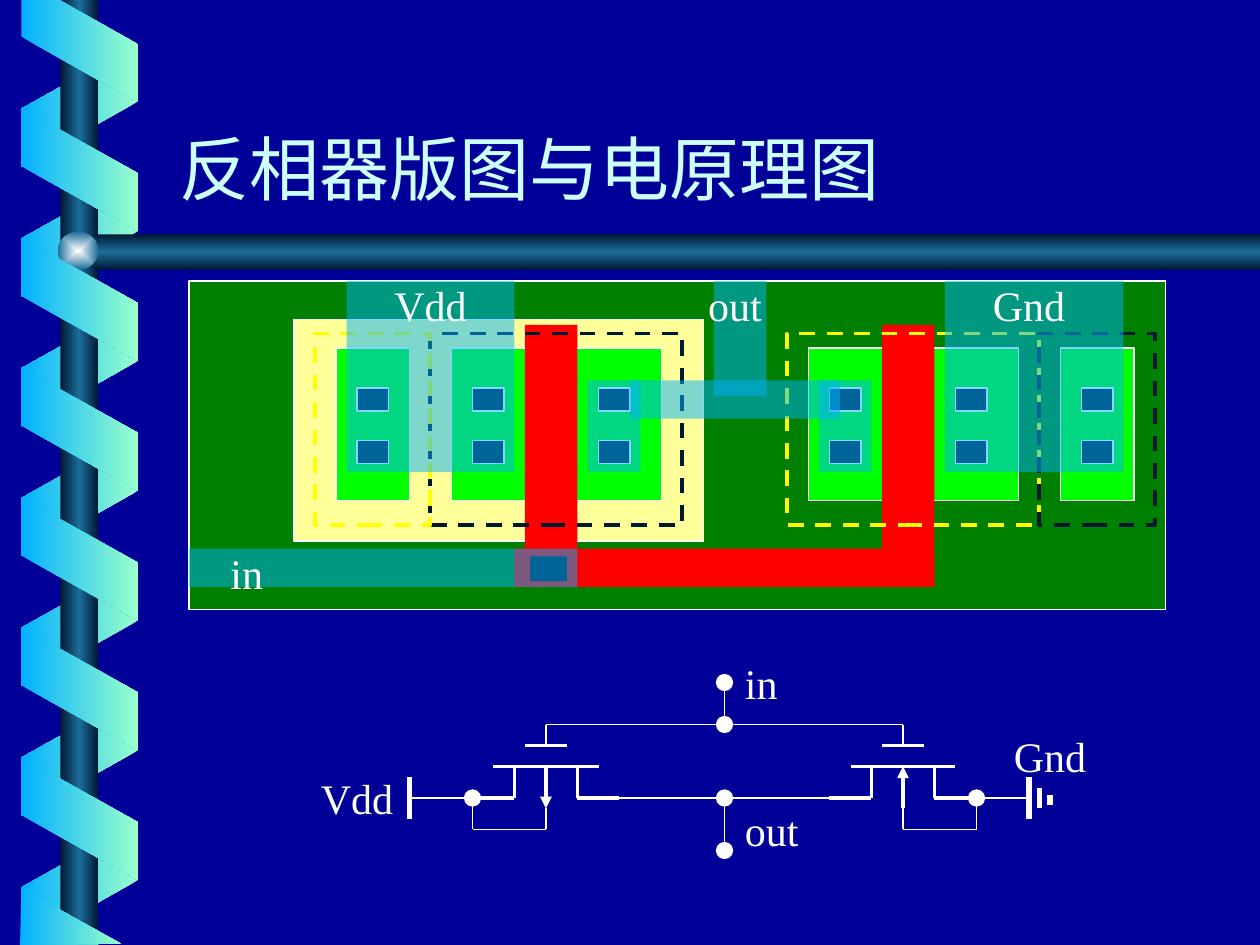
from dataclasses import dataclass

from lxml.etree import SubElement
from pptx import Presentation
from pptx.dml.color import RGBColor
from pptx.enum.dml import MSO_LINE_DASH_STYLE as DASH
from pptx.enum.shapes import MSO_CONNECTOR as CONNECTOR, MSO_SHAPE as SHAPE
from pptx.enum.text import MSO_ANCHOR as ANCHOR, PP_ALIGN as ALIGN
from pptx.oxml.ns import qn
from pptx.util import Inches, Pt

NAVY = RGBColor(0x00, 0x00, 0x99)
WHITE = RGBColor(0xFF, 0xFF, 0xFF)
PALE_CYAN = RGBColor(0xCC, 0xFF, 0xFF)
SKY = RGBColor(0x01, 0xB0, 0xFF)
MINT = RGBColor(0x99, 0xFF, 0xCC)
INK = RGBColor(0x00, 0x19, 0x32)
STEEL = RGBColor(0x1C, 0x6D, 0x9A)
SUBSTRATE = RGBColor(0x00, 0x80, 0x00)
WELL = RGBColor(0xFF, 0xFF, 0x99)
ACTIVE = RGBColor(0x00, 0xFF, 0x00)
POLY = RGBColor(0xFF, 0x00, 0x00)
YELLOW = RGBColor(0xFF, 0xFF, 0x00)


@dataclass
class Grid:
    """A box on the slide, measured in columns and rows (inches each)."""
    left: float
    top: float
    column: float
    row: float

    def point(self, column, row):
        return (Inches(self.left + column * self.column),
                Inches(self.top + row * self.row))

    def box(self, column, row, columns, rows):
        return (*self.point(column, row),
                Inches(columns * self.column), Inches(rows * self.row))


PAGE = Grid(0, 0, 1, 1)


def fill_gradient(shape, colors, angle=0, radial=False):
    """Spread the colours evenly, keeping the direction fixed to the slide."""
    shape.fill.gradient()
    gradient = shape.element.spPr.find(qn("a:gradFill"))
    gradient.set("rotWithShape", "0")
    for child in list(gradient):
        gradient.remove(child)
    stops = SubElement(gradient, qn("a:gsLst"))
    for index, color in enumerate(colors):
        position = 100000 * index // (len(colors) - 1)
        stop = SubElement(stops, qn("a:gs"), pos=str(position))
        SubElement(stop, qn("a:srgbClr"), val=str(color))
    if radial:
        way = SubElement(gradient, qn("a:path"), path="rect")
        SubElement(way, qn("a:fillToRect"),
                   {side: "50000" for side in "ltrb"})
    else:
        SubElement(gradient, qn("a:lin"), ang=str(angle * 60000), scaled="0")
    shape.line.fill.background()
    shape.shadow.inherit = False


def add_rectangle(slide, box, fill=None, line=None, width=0.75, dash=None, alpha=None):
    shape = slide.shapes.add_shape(SHAPE.RECTANGLE, *box)
    shape.shadow.inherit = False
    if fill is None:
        shape.fill.background()
    else:
        shape.fill.solid()
        shape.fill.fore_color.rgb = fill
    if alpha:
        color = shape.element.spPr.find(qn("a:solidFill"))[0]
        SubElement(color, qn("a:alpha"), val=str(alpha * 1000))
    if line is None:
        shape.line.fill.background()
    else:
        shape.line.color.rgb = line
        shape.line.width = Pt(width)
        if dash:
            shape.line.dash_style = dash


def add_polygon(slide, points):
    corners = [PAGE.point(*point) for point in points]
    builder = slide.shapes.build_freeform(*corners[0])
    builder.add_line_segments(corners[1:], close=True)
    return builder.convert_to_shape()


def add_text(slide, box, text, size=24, font="Times New Roman", color=WHITE,
             align=ALIGN.CENTER, anchor=ANCHOR.TOP):
    frame = slide.shapes.add_textbox(*box).text_frame
    frame.word_wrap = True
    frame.vertical_anchor = anchor
    paragraph = frame.paragraphs[0]
    paragraph.alignment = align
    run = paragraph.add_run()
    run.text = text
    run.font.size = Pt(size)
    run.font.name = font
    run.font.color.rgb = color


def add_line(slide, grid, start, end, width=0.75, head=None, tail=None):
    line = slide.shapes.add_connector(
        CONNECTOR.STRAIGHT, *grid.point(*start), *grid.point(*end))
    line.line.color.rgb = WHITE
    line.line.width = Pt(width)
    properties = line.element.spPr
    for tag, kind in (("a:headEnd", head), ("a:tailEnd", tail)):
        if kind:
            size = "lg" if kind == "oval" else "med"
            SubElement(properties.find(qn("a:ln")), qn(tag),
                       type=kind, w=size, len=size)
    SubElement(properties, qn("a:effectLst"))


def add_ribbons(slide, top, pitch, count, rotation, colors, flipped=False):
    for index in range(count):
        shape = slide.shapes.add_shape(
            SHAPE.PARALLELOGRAM, *PAGE.box(0.14, top + index * pitch, 0.98, 0.93))
        shape.adjustments[0] = 0.56
        shape.rotation = rotation
        if flipped:
            shape.element.spPr.find(qn("a:xfrm")).set("flipH", "1")
        fill_gradient(shape, colors)


def add_helix(slide):
    """Ribbon wound round a pole, with a cross bar and its knob."""
    metal = (INK, STEEL, INK)
    add_ribbons(slide, 0.37, 1.03, 7, 90, (MINT, SKY), flipped=True)
    pole = slide.shapes.add_shape(SHAPE.RECTANGLE, *PAGE.box(0.48, 0, 0.3, 7.5))
    fill_gradient(pole, metal)
    bar = add_polygon(slide, [(10, 1.86), (0.76, 1.86), (0.6, 2), (0.76, 2.14), (10, 2.14)])
    fill_gradient(bar, metal, angle=90)
    knob = slide.shapes.add_shape(SHAPE.OVAL, *PAGE.box(0.46, 1.84, 0.32, 0.3))
    fill_gradient(knob, (WHITE, STEEL), radial=True)
    add_ribbons(slide, 0.88, 1.03, 6, 270, (SKY, MINT))
    # Ribbon ends cut by the slide's edges
    for points in ([(0.17, 0), (0.17, 0.29), (1.09, 0.81), (1.09, 0.35), (0.47, 0)],
                   [(0.96, 7.49), (0.17, 7.05), (0.16, 7.5)]):
        fill_gradient(add_polygon(slide, points), (SKY, MINT))


def add_layout(slide, grid):
    """Inverter layout, drawn layer by layer from the substrate up."""
    def layer(fill, *boxes, line=None, alpha=None):
        for box in boxes:
            add_rectangle(slide, grid.box(*box), fill, line, alpha=alpha)

    layer(SUBSTRATE, (0, 0, 93, 34.4), line=WHITE)
    layer(WELL, (10, 4, 39, 23.2), line=WHITE)
    layer(ACTIVE, *[(column, 7, columns, 16) for column, columns in
                    ((14, 7), (25, 20), (59, 20), (83, 7))], line=WHITE)
    layer(POLY, (32, 4.6, 5, 27.3), (66, 4.6, 5, 27.3), (36, 28, 35, 4), (31, 28, 6, 4))
    # Implant regions
    for column, columns, color in ((23, 24, INK), (57, 24, YELLOW),
                                   (12, 11, YELLOW), (81, 11, INK)):
        add_rectangle(slide, grid.box(column, 5.5, columns, 20),
                      line=color, width=2.25, dash=DASH.DASH)
    # Contacts
    layer(INK, (32.5, 28.8, 3.5, 2.6))
    layer(INK, *[(column, row, 3, 2.4) for column in (16, 27, 39, 61, 73, 85)
                 for row in (11.2, 16.7)], line=WHITE)
    # Metal
    layer(SKY, (0, 28, 37, 4), (15, 0, 16, 20), (60, 10.4, 5, 9.6), (42, 10.4, 20, 4),
          (72, 0, 17, 20), (50, 0, 5, 12), (38, 10.4, 5, 9.6), alpha=50)
    for text, column, row, columns in (("Vdd", 16.5, -0.8, 13), ("Gnd", 73.5, -0.8, 13),
                                       ("out", 45.5, -0.8, 13), ("in", 1.5, 27.2, 8)):
        add_text(slide, grid.box(column, row, columns, 6.6), text)


def add_transistor(slide, grid, center, side, rail, arrow):
    """MOS transistor whose source and body are tied to the rail on one side."""
    def stroke(start, end, width=0.75, **ends):
        add_line(slide, grid, (center + start[0], start[1]),
                 (center + end[0], end[1]), width, **ends)

    stroke((-2, 9), (2, 9), 2.25)
    stroke((-5, 11), (5, 11), 2.25)
    for sign in (-1, 1):
        stroke((3 * sign, 11), (3 * sign, 14), 2.25)
        stroke((3 * sign, 14), (7 * sign, 14), 2.25)
    stroke((0, 11), (0, 15), 2.25, **arrow)
    # Body tie, gate lead and supply lead
    stroke((0, 15), (0, 17))
    stroke((0, 17), (7 * side, 17))
    stroke((7 * side, 17), (7 * side, 14))
    stroke((0, 9), (0, 7))
    stroke((7 * side, 14), (rail - center, 14), head="oval")
    add_line(slide, grid, (rail, 12), (rail, 16), 3)


def add_schematic(slide, grid):
    p_center, n_center, middle = 23, 57, 40
    add_transistor(slide, grid, p_center, -1, 10, {"tail": "triangle"})
    add_transistor(slide, grid, n_center, 1, 69, {"head": "triangle"})
    # Shared input and output
    add_line(slide, grid, (p_center, 7), (n_center, 7))
    add_line(slide, grid, (p_center + 7, 14), (n_center - 7, 14), 1)
    for top, bottom in ((3, 7), (14, 19)):
        add_line(slide, grid, (middle, top), (middle, bottom), head="oval", tail="oval")
    # Ground symbol
    add_line(slide, grid, (70, 13), (70, 15), 3)
    add_line(slide, grid, (71, 13.7), (71, 14.7), 3)
    for text, column, row, columns in (("Vdd", 0, 11, 10), ("Gnd", 66, 7, 10),
                                       ("in", middle, 0, 7), ("out", middle, 14, 9)):
        add_text(slide, grid.box(column, row, columns, 6), text)


def main():
    presentation = Presentation()
    presentation.slide_width, presentation.slide_height = Inches(10), Inches(7.5)
    slide = presentation.slides.add_slide(presentation.slide_layouts[6])
    slide.background.fill.solid()
    slide.background.fill.fore_color.rgb = NAVY
    add_helix(slide)
    add_text(slide, PAGE.box(1.33, 0.46, 8.5, 1.25), "反相器版图与电原理图", 40,
             "Roboto Condensed", PALE_CYAN, ALIGN.LEFT, ANCHOR.BOTTOM)
    add_layout(slide, Grid(1.5, 2.23, 1 / 12, 2.61 / 34.4))
    add_schematic(slide, Grid(29 / 12, 62 / 12, 1 / 12, 1 / 12))
    presentation.save("out.pptx")


if __name__ == "__main__":
    main()
